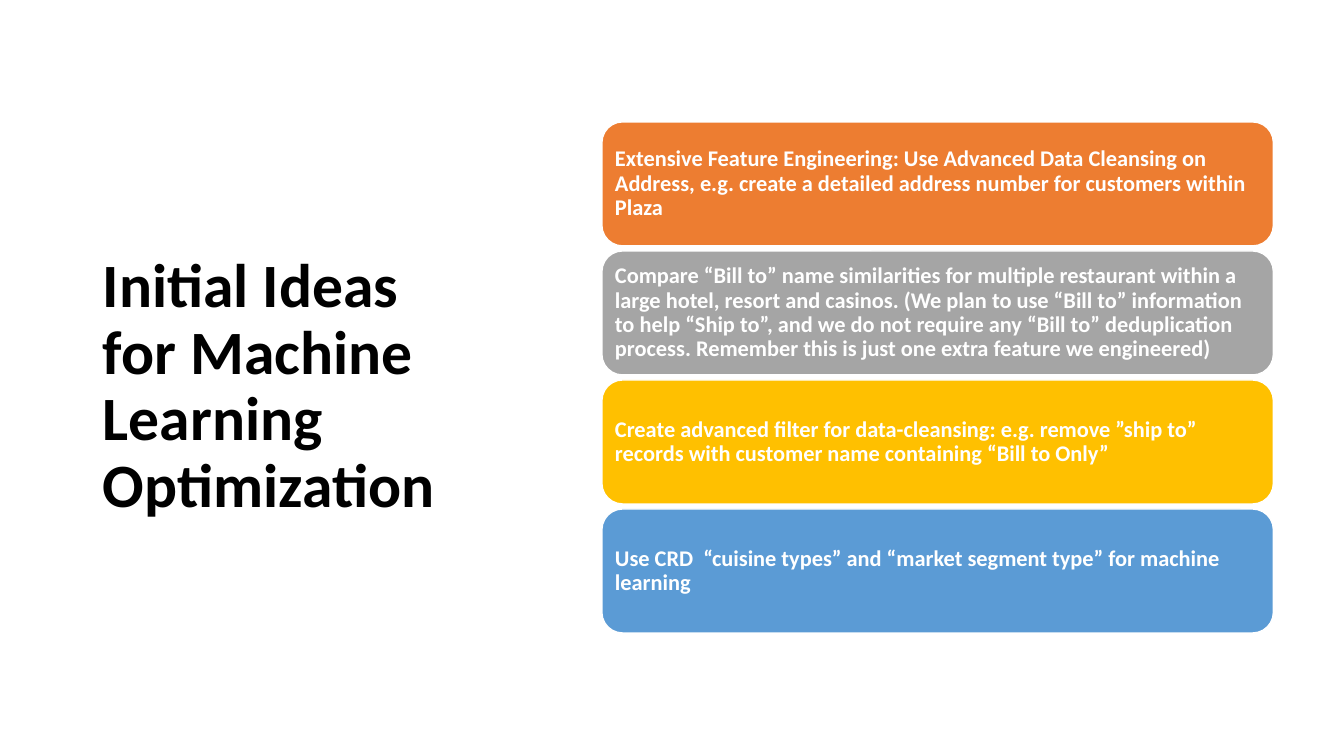
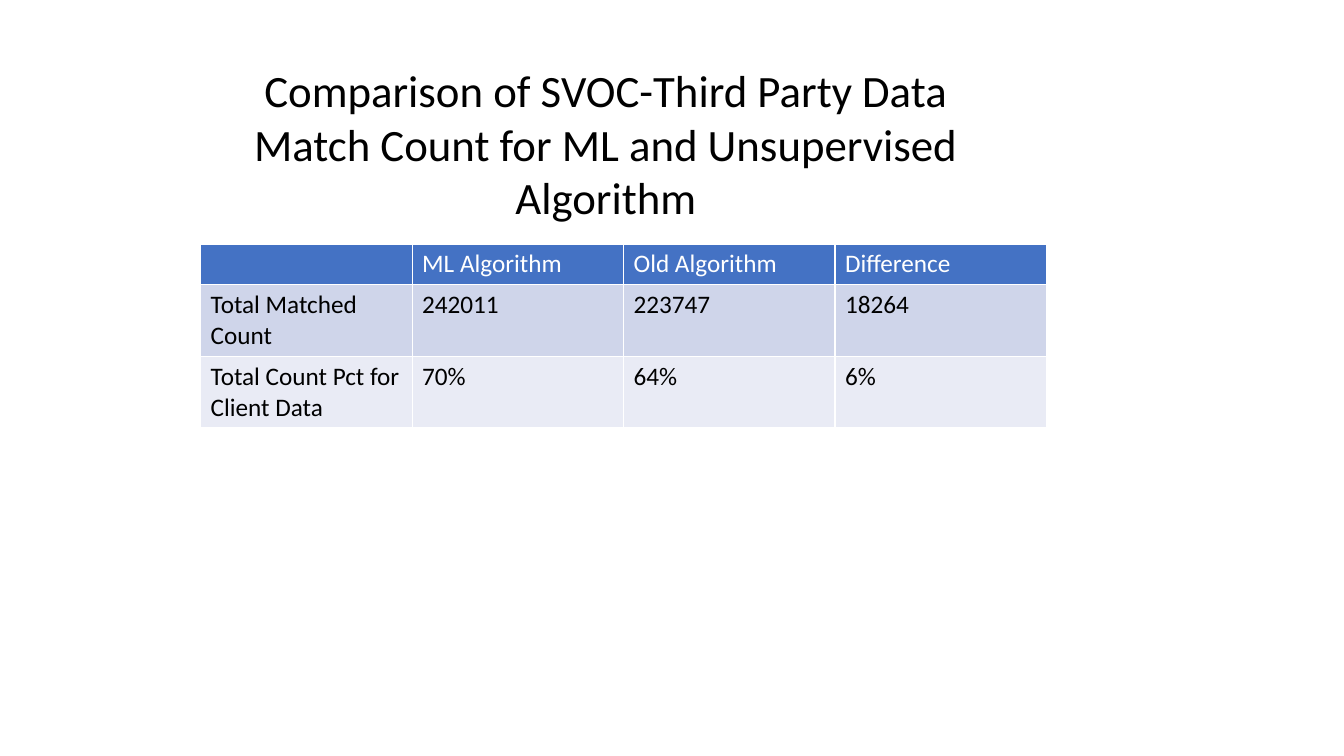
"""Build two slides: ideas for machine learning and a match count table."""
import pptx
import pptx.dml.color
import pptx.enum.shapes
import pptx.enum.text
import pptx.oxml
import pptx.oxml.ns
import pptx.util

Inches = pptx.util.Inches
Pt = pptx.util.Pt
ALIGN = pptx.enum.text.PP_ALIGN
ANCHOR = pptx.enum.text.MSO_ANCHOR
FONT = "Calibri"
COLORS = {
    "black": "000000",
    "white": "FFFFFF",
    "orange": "ED7D31",
    "gray": "A5A5A5",
    "gold": "FFC000",
    "sky": "5B9BD5",
    "head": "4472C4",
    "odd": "CFD5EA",
    "even": "E9EBF5",
}


def color(name):
    return pptx.dml.color.RGBColor.from_string(COLORS[name])


def write(frame, text, size, ink, bold=False, align=ALIGN.LEFT, space=1.0):
    frame.text = text
    frame.word_wrap = True
    for para in frame.paragraphs:
        para.alignment = align
        para.line_spacing = space
        for run in para.runs:
            run.font.name = FONT
            run.font.size = Pt(size)
            run.font.bold = bold
            run.font.color.rgb = color(ink)


deck = pptx.Presentation()
deck.slide_width = Inches(13.33)
deck.slide_height = Inches(7.5)
layout = deck.slide_layouts[5]

titles = [
    ("Initial Ideas for Machine Learning Optimization",
     (0.92, 0.89, 3.65, 5.91), 44, True, ALIGN.LEFT, 0.9, ANCHOR.MIDDLE),
    ("Comparison of SVOC-Third Party Data Match Count for ML and Unsupervised Algorithm",
     (2.07, 0.57, 7.88, 1.72), 32, False, ALIGN.CENTER, 1.0, ANCHOR.TOP),
]
slides = []
for text, place, size, bold, align, space, anchor in titles:
    slide = deck.slides.add_slide(layout)
    title = slide.shapes.title
    title.left, title.top, title.width, title.height = map(Inches, place)
    write(title.text_frame, text, size, "black", bold, align, space)
    title.text_frame.auto_size = pptx.enum.text.MSO_AUTO_SIZE.NONE
    title.text_frame.vertical_anchor = anchor
    slides.append(slide)

ideas = [
    ("orange", "Extensive Feature Engineering: Use Advanced Data Cleansing on Address, "
               "e.g. create a detailed address number for customers within Plaza"),
    ("gray", "Compare “Bill to” name similarities for multiple restaurant within a large "
             "hotel, resort and casinos. (We plan to use “Bill to” information to help "
             "“Ship to”, and we do not require any “Bill to” deduplication process. "
             "Remember this is just one extra feature we engineered)"),
    ("gold", "Create advanced filter for data-cleansing: e.g. remove ”ship to” records "
             "with customer name containing “Bill to Only”"),
    ("sky", "Use CRD  “cuisine types” and “market segment type” for machine learning"),
]
tall, gap = 1.23, 0.05
for row, (fill, text) in enumerate(ideas):
    card = slides[0].shapes.add_shape(
        pptx.enum.shapes.MSO_SHAPE.ROUNDED_RECTANGLE,
        Inches(5.97), Inches(1.21 + row * (tall + gap)), Inches(6.66), Inches(tall))
    card.shadow.inherit = False
    card.fill.solid()
    card.fill.fore_color.rgb = color(fill)
    card.line.color.rgb = color("white")
    card.line.width = Pt(1)
    frame = card.text_frame
    frame.margin_left = frame.margin_right = Inches(0.07)
    frame.margin_top = frame.margin_bottom = Inches(0.07)
    frame.vertical_anchor = ANCHOR.MIDDLE
    write(frame, text, 16, "white", True, space=0.9)

rows = [
    ("head", "white", 0.4, ["", "ML Algorithm", "Old Algorithm", "Difference"]),
    ("odd", "black", 0.7, ["Total Matched Count", "242011", "223747", "18264"]),
    ("even", "black", 0.7, ["Total Count Pct for Client Data", "70%", "64%", "6%"]),
]
grid = slides[1].shapes.add_table(
    len(rows), 4, Inches(1.99), Inches(2.42), Inches(8.39), Inches(1.8)).table
for row, (fill, ink, high, texts) in enumerate(rows):
    grid.rows[row].height = Inches(high)
    for col, text in enumerate(texts):
        cell = grid.cell(row, col)
        write(cell.text_frame, text, 18, ink)
        props = cell._tc.get_or_add_tcPr()
        for side in ("lnL", "lnR", "lnT", "lnB"):
            props.append(pptx.oxml.parse_xml(
                f'<a:{side} {pptx.oxml.ns.nsdecls("a")} w="{Pt(1)}"><a:solidFill>'
                f'<a:srgbClr val="{COLORS["white"]}"/></a:solidFill></a:{side}>'))
        cell.fill.solid()
        cell.fill.fore_color.rgb = color(fill)

deck.save("out.pptx")
